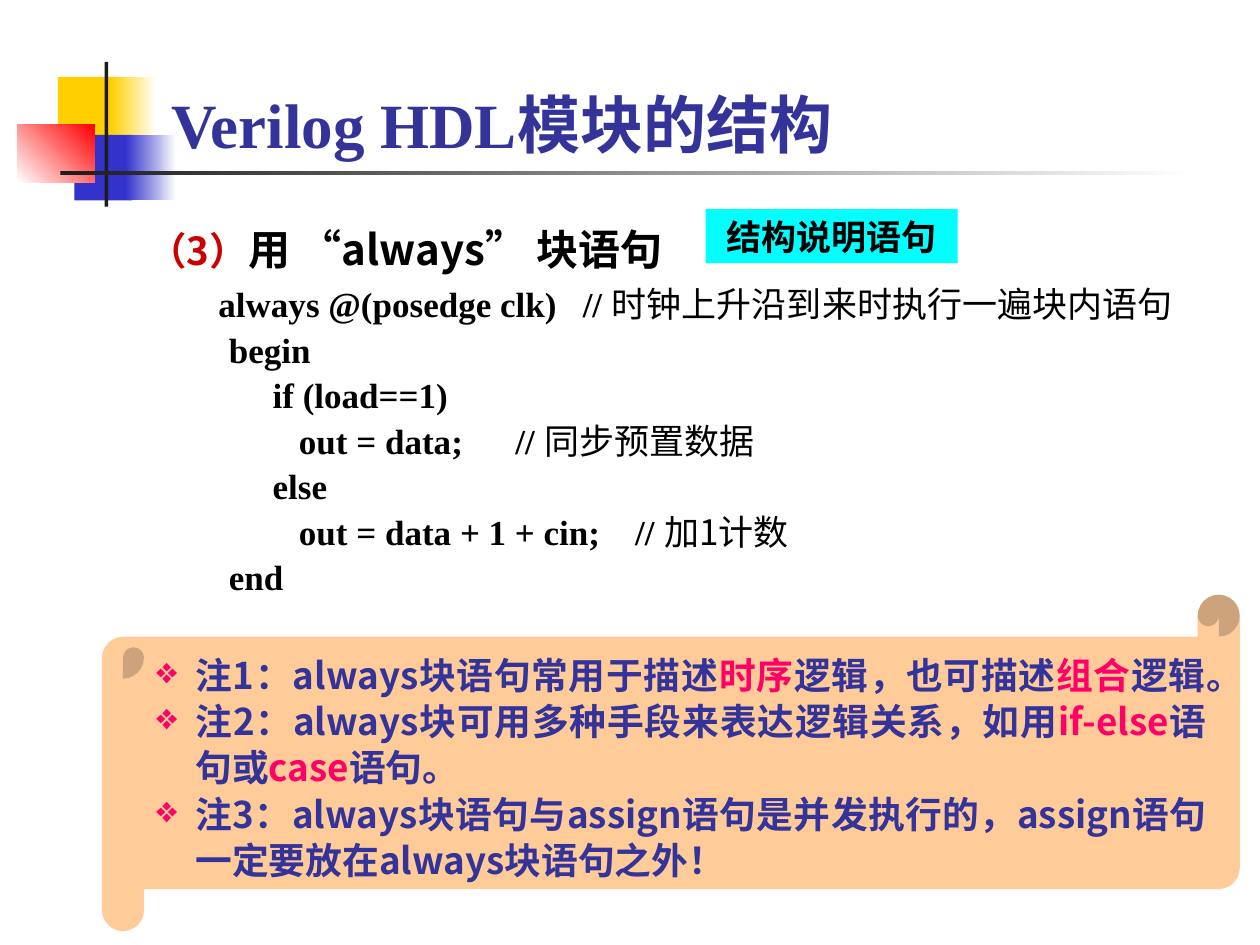
from lxml import etree
from pptx import Presentation
from pptx.dml.color import RGBColor
from pptx.enum.shapes import MSO_SHAPE
from pptx.enum.text import MSO_ANCHOR, PP_ALIGN
from pptx.oxml.ns import qn
from pptx.util import Inches, Pt

RECTANGLE = MSO_SHAPE.RECTANGLE
SCROLL = MSO_SHAPE.HORIZONTAL_SCROLL
MIDDLE, BOTTOM, TOP = MSO_ANCHOR.MIDDLE, MSO_ANCHOR.BOTTOM, MSO_ANCHOR.TOP
LEFT, CENTER, JUSTIFY = PP_ALIGN.LEFT, PP_ALIGN.CENTER, PP_ALIGN.JUSTIFY

WHITE = RGBColor(0xFF, 0xFF, 0xFF)
BLACK = RGBColor(0, 0, 0)
INK = RGBColor(0x1C, 0x1C, 0x1C)
YELLOW = RGBColor(0xFF, 0xCF, 0x01)
BLUE = RGBColor(0x33, 0x33, 0xCC)
NAVY = RGBColor(0x33, 0x33, 0x99)
RED = RGBColor(0xFF, 0, 0)
DARK_RED = RGBColor(0xCC, 0, 0)
PINK = RGBColor(0xFF, 0, 0x66)
CYAN = RGBColor(0, 0xFF, 0xFF)
PEACH = RGBColor(0xFF, 0xCC, 0x99)

SERIF = "Times New Roman"
SANS = "Noto Sans CJK SC"
SANS_JP = "Noto Sans CJK JP"

CODE_LINES = [
    ("        always @(posedge clk)   // ", "时钟上升沿到来时执行一遍块内语句"),
    ("\t  begin", ""),
    ("\t       if (load==1)", ""),
    ("\t          out = data;      // ", "同步预置数据"),
    ("\t       else", ""),
    ("\t          out = data + 1 + cin;    // ", "加1计数"),
    ("\t  end", ""),
]
NOTES = [
    (30, [("注1：always块语句常用于描述", NAVY), ("时序", PINK), ("逻辑，也可描述", NAVY),
          ("组合", PINK), ("逻辑。", NAVY)]),
    (26.5, [("注2：always块可用多种手段来表达逻辑关系，如用", NAVY), ("if-else", PINK),
            ("语句或", NAVY), ("case", PINK), ("语句。", NAVY)]),
    (26.5, [("注3：always块语句与assign语句是并发执行的，"
             "assign语句一定要放在always块语句之外！", NAVY)]),
]


def add_block(slide, left, top, width, height, color, kind=RECTANGLE, fade=None, angle=0):
    """Add an unlined shape with a solid fill, or a gradient from color to fade."""
    shape = slide.shapes.add_shape(
        kind, Inches(left), Inches(top), Inches(width), Inches(height))
    shape.shadow.inherit = False
    shape.line.fill.background()
    if fade is None:
        shape.fill.solid()
        shape.fill.fore_color.rgb = color
    else:
        shape.fill.gradient()
        shape.fill.gradient_angle = angle
        for stop, stop_color, position in zip(shape.fill.gradient_stops, (color, fade), (0, 1)):
            stop.color.rgb = stop_color
            stop.position = position
    return shape


def add_text_box(slide, left, top, width, height, anchor=TOP):
    """Add a wrapping text box and return its text frame."""
    frame = slide.shapes.add_textbox(
        Inches(left), Inches(top), Inches(width), Inches(height)).text_frame
    frame.word_wrap = True
    frame.vertical_anchor = anchor
    return frame


def next_paragraph(frame, align=JUSTIFY, line=None, after=0):
    """Return the first empty paragraph of the frame, or a new one, formatted."""
    first = frame.paragraphs[0]
    paragraph = frame.add_paragraph() if first.runs else first
    paragraph.alignment = align
    paragraph.space_after = Pt(after)
    if line:
        paragraph.line_spacing = Pt(line)
    return paragraph


def add_run(paragraph, text, size=20, font=SANS, color=BLACK, bold=True, asian=None):
    """Add a run with its Latin and East Asian fonts."""
    run = paragraph.add_run()
    run.text = text
    run.font.size = Pt(size)
    run.font.bold = bold
    run.font.color.rgb = color
    run.font.name = font
    properties = run.font._element
    etree.SubElement(properties, qn("a:ea")).set("typeface", asian or font)


def add_bullet(paragraph, character, color, indent):
    """Give the paragraph a coloured bullet with a hanging indent."""
    properties = paragraph._p.get_or_add_pPr()
    properties.set("marL", str(Inches(indent)))
    properties.set("indent", str(-Inches(indent)))
    bullet_color = etree.SubElement(properties, qn("a:buClr"))
    etree.SubElement(bullet_color, qn("a:srgbClr")).set("val", str(color))
    etree.SubElement(properties, qn("a:buChar")).set("char", character)


def add_decoration(slide, left, top):
    """Draw the coloured squares and the two crossing rules."""
    add_block(slide, left + 0.32, top + 0.12, 0.48, 0.52, YELLOW)
    add_block(slide, left + 0.74, top + 0.12, 0.36, 0.52, YELLOW, fade=WHITE)
    add_block(slide, left + 0.45, top + 0.58, 0.46, 0.52, BLUE)
    add_block(slide, left + 0.86, top + 0.58, 0.4, 0.52, BLUE, fade=WHITE)
    add_block(slide, left, top + 0.5, 0.61, 0.46, WHITE, fade=RED, angle=45)
    add_block(slide, left + 0.69, top, 0.03, 1.15, INK)
    add_block(slide, left + 0.34, top + 0.87, 9, 0.03, INK, fade=WHITE)


def add_title(slide, left, top, width, height):
    """Write the slide title."""
    frame = add_text_box(slide, left, top, width, height, anchor=BOTTOM)
    paragraph = next_paragraph(frame, align=LEFT)
    add_run(paragraph, "Verilog HDL模块的结构", size=36, font=SERIF, color=NAVY, asian=SANS)


def add_code(slide, left, top, width, height):
    """Write the section heading and the commented code below it."""
    frame = add_text_box(slide, left, top, width, height)
    heading = next_paragraph(frame, line=32, after=3)
    add_run(heading, "（3）", size=22, font=SANS_JP, color=DARK_RED)
    for text, font in (("用 ", SANS), ("“", SERIF), ("always", SANS), ("”", SERIF),
                       (" 块语句", SANS)):
        add_run(heading, text, size=24, font=font, asian=SANS)
    for code, comment in CODE_LINES:
        paragraph = next_paragraph(frame, line=26)
        add_run(paragraph, code, font=SERIF)
        if comment:
            add_run(paragraph, comment, bold=False)


def add_label(slide, left, top, width, height):
    """Add the highlighted label beside the heading."""
    frame = add_block(slide, left, top, width, height, CYAN).text_frame
    frame.vertical_anchor = MIDDLE
    add_run(next_paragraph(frame, align=CENTER), "结构说明语句")


def add_notes_scroll(slide, left, top, width, height):
    """Draw the scroll with its bulleted remarks."""
    frame = add_block(slide, left, top, width, height, PEACH, kind=SCROLL).text_frame
    frame.word_wrap = True
    frame.vertical_anchor = MIDDLE
    for line, parts in NOTES:
        paragraph = next_paragraph(frame, line=line)
        add_bullet(paragraph, "❖", PINK, 0.31)
        for text, color in parts:
            add_run(paragraph, text, size=21, font=SANS_JP, color=color)


def main():
    """Build the slide and save it."""
    presentation = Presentation()
    presentation.slide_width = Inches(10)
    presentation.slide_height = Inches(7.5)
    slide = presentation.slides.add_slide(presentation.slide_layouts[6])
    add_decoration(slide, 0.14, 0.49)
    add_title(slide, 1.26, 0.08, 8.52, 1.25)
    add_code(slide, 1.08, 1.68, 8.75, 3.2)
    add_label(slide, 5.6, 1.66, 2, 0.43)
    add_notes_scroll(slide, 0.81, 4.72, 9.03, 2.67)
    presentation.save("out.pptx")


if __name__ == "__main__":
    main()
